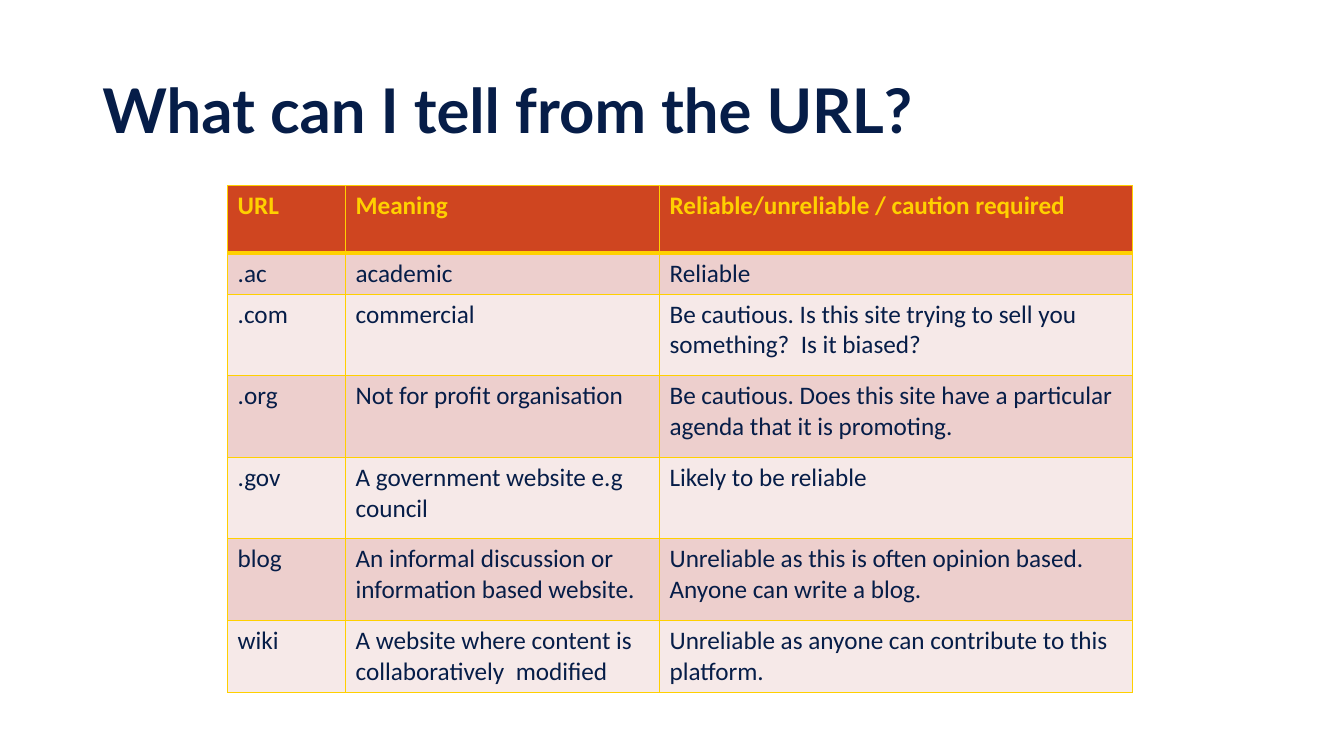
"""Build a slide with a table on what a URL says about reliability."""
from pptx import Presentation
from pptx.dml.color import RGBColor
from pptx.enum.text import MSO_ANCHOR as Anchor
from pptx.oxml.ns import qn
from pptx.util import Pt
from lxml.etree import SubElement

TITLE = "What can I tell from the URL?"
ROWS = [
    ("URL", "Meaning", "Reliable/unreliable / caution required"),
    (".ac", "academic", "Reliable"),
    (".com", "commercial",
     "Be cautious. Is this site trying to sell you something?  Is it biased?"),
    (".org", "Not for profit organisation",
     "Be cautious. Does this site have a particular agenda that it is promoting."),
    (".gov", "A government website e.g council", "Likely to be reliable"),
    ("blog", "An informal discussion or information based website.",
     "Unreliable as this is often opinion based. Anyone can write a blog."),
    ("wiki", "A website where content is collaboratively  modified",
     "Unreliable as anyone can contribute to this platform."),
]
WIDTHS = [84.24, 224.3, 337.9]
HEIGHTS = [48.2, 29.2, 58.3, 58.3, 58.3, 58.3, 51.2]
NAVY, GOLD, RED = "061D48", "FFD000", "CF4520"
BANDS = ["F6E9E8", "EDCFCD"]


def color(value):
    return RGBColor.from_string(value)


def style(para, name, size, value, bold):
    font = para.font
    font.name, font.size, font.bold = name, Pt(size), bold
    font.color.rgb = color(value)


def add_border(cell, side, width):
    line = SubElement(cell._tc.get_or_add_tcPr(), qn("a:ln" + side), w=str(Pt(width)))
    fill = SubElement(line, qn("a:solidFill"))
    SubElement(fill, qn("a:srgbClr"), val=GOLD)


def add_title(page):
    box = page.shapes.add_textbox(Pt(66), Pt(28.75), Pt(828), Pt(104.4))
    frame = box.text_frame
    frame.word_wrap = True
    frame.vertical_anchor = Anchor.MIDDLE
    para = frame.paragraphs[0]
    para.text = TITLE
    para.line_spacing = 0.9
    style(para, "Lato", 44, NAVY, True)


def add_url_table(page):
    table = page.shapes.add_table(
        len(ROWS), len(WIDTHS), Pt(162.6), Pt(132.7),
        Pt(sum(WIDTHS)), Pt(sum(HEIGHTS))).table
    for column, width in zip(table.columns, WIDTHS):
        column.width = Pt(width)
    for index, (row, height, texts) in enumerate(zip(table.rows, HEIGHTS, ROWS)):
        row.height = Pt(height)
        header = index == 0
        widths = {"L": 1, "R": 1, "T": 3 if index == 1 else 1, "B": 3 if header else 1}
        for cell, text in zip(row.cells, texts):
            cell.text = text
            style(cell.text_frame.paragraphs[0], "Calibri", 18,
                  GOLD if header else NAVY, header)
            for side, width in widths.items():
                add_border(cell, side, width)
            cell.fill.solid()
            cell.fill.fore_color.rgb = color(RED if header else BANDS[index % 2])


def main():
    deck = Presentation()
    deck.slide_width, deck.slide_height = Pt(960), Pt(540)
    page = deck.slides.add_slide(deck.slide_layouts[6])
    add_title(page)
    add_url_table(page)
    deck.save("out.pptx")


if __name__ == "__main__":
    main()
